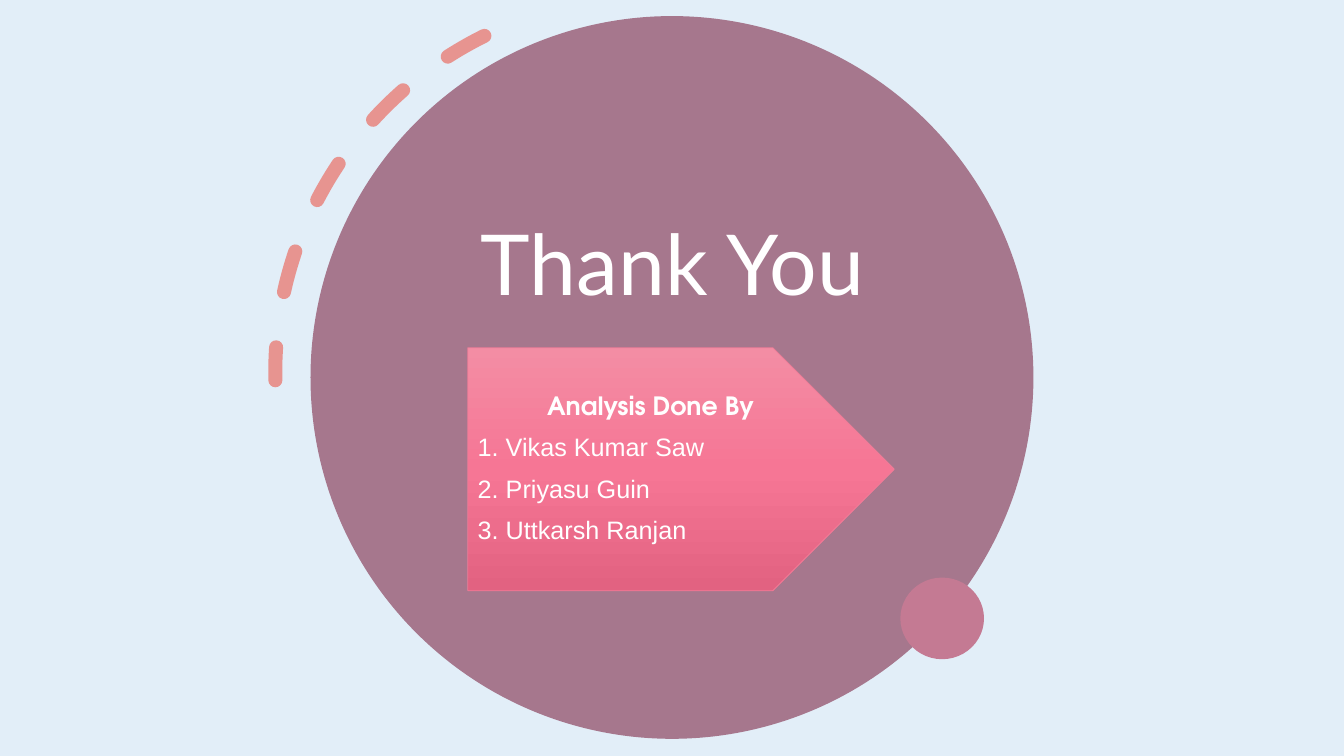
from lxml import etree
from pptx import Presentation
from pptx.dml.color import RGBColor
from pptx.enum.dml import MSO_LINE
from pptx.enum.shapes import MSO_SHAPE
from pptx.enum.text import MSO_ANCHOR, PP_ALIGN
from pptx.oxml import parse_xml
from pptx.oxml.ns import nsdecls, qn
from pptx.util import Inches, Pt

OVAL, ARC, PLATE = MSO_SHAPE.OVAL, MSO_SHAPE.ARC, MSO_SHAPE.PENTAGON
LEFT, CENTER = PP_ALIGN.LEFT, PP_ALIGN.CENTER
MIDDLE, BOTTOM = MSO_ANCHOR.MIDDLE, MSO_ANCHOR.BOTTOM
DASH = MSO_LINE.DASH

COLORS = {
    "sky": "E2EEF8", "plum": "A6778D", "rose": "C47A93", "coral": "E8908B",
    "edge": "F07C98", "white": "FFFFFF",
}
BLEND = {0: "F38DA4", 50: "F67695", 100: "E26281"}
NAMES = ["Vikas Kumar Saw", "Priyasu Guin", "Uttkarsh Ranjan"]


def color(name):
    return RGBColor.from_string(COLORS[name])


def add_form(slide, kind, box, fill=None):
    form = slide.shapes.add_shape(kind, *map(Inches, box))
    form.shadow.inherit = False
    form.line.fill.background()
    if fill:
        form.fill.solid()
        form.fill.fore_color.rgb = color(fill)
    else:
        form.fill.background()
    return form


def write(para, text, font, size, bold=False, align=LEFT, before=0):
    para.alignment = align
    para.line_spacing = 0.9
    para.space_before = Pt(before)
    run = para.add_run()
    run.text = text
    run.font.name = font
    run.font.size = Pt(size)
    run.font.bold = bold
    run.font.color.rgb = color("white")


def set_blend(form):
    """Fill the form with the pink gradient, light at the top."""
    stops = "".join(
        f'<a:gs pos="{pos * 1000}"><a:srgbClr val="{tone}"/></a:gs>'
        for pos, tone in BLEND.items())
    grad = parse_xml(
        f'<a:gradFill {nsdecls("a")} rotWithShape="1"><a:gsLst>{stops}</a:gsLst>'
        '<a:lin ang="5400000" scaled="0"/></a:gradFill>')
    props = form.element.spPr
    props.replace(props.find(qn("a:noFill")), grad)


def add_arc(slide, box):
    arc = add_form(slide, ARC, box)
    arc.adjustments[0], arc.adjustments[1] = 162, 200.93
    arc.rotation = 153.7
    arc.element.spPr.xfrm.set("flipV", "1")
    arc.line.color.rgb = color("coral")
    arc.line.width = Pt(10)
    arc.line.dash_style = DASH
    line = arc.element.spPr.find(qn("a:ln"))
    line.set("cap", "rnd")
    tone = line.find(".//" + qn("a:srgbClr"))
    etree.SubElement(tone, qn("a:alpha")).set("val", "95000")


def add_title(slide, box):
    title = slide.shapes.title
    title.left, title.top, title.width, title.height = map(Inches, box)
    frame = title.text_frame
    frame.word_wrap = True
    frame.vertical_anchor = BOTTOM
    write(frame.paragraphs[0], "Thank You", "Lato", 60, align=CENTER)


def add_credits(slide, box):
    plate = add_form(slide, PLATE, box)
    set_blend(plate)
    plate.line.color.rgb = color("edge")
    plate.line.width = Pt(0.5)
    frame = plate.text_frame
    frame.word_wrap = True
    frame.vertical_anchor = MIDDLE
    write(frame.paragraphs[0], "Analysis Done By", "TeX Gyre Adventor", 18,
          bold=True, align=CENTER, before=10)
    for rank, name in enumerate(NAMES, 1):
        write(frame.add_paragraph(), f"{rank}. {name}", "Arial", 18, before=10)


def add_closing(deck, box):
    """Place every part as a share of the box around the large disc."""
    left, top, side = box
    slide = deck.slides.add_slide(deck.slide_layouts[5])
    slide.background.fill.solid()
    slide.background.fill.fore_color.rgb = color("sky")

    def part(x, y, wide, high):
        return left + x * side, top + y * side, wide * side, high * side

    disc = add_form(slide, OVAL, part(0, 0, 1, 1), "plum")
    tree = slide.shapes.title.element.getparent()
    tree.remove(disc.element)
    tree.insert(2, disc.element)
    add_title(slide, (left + 0.55, top + 1.35, 6.08, 1.65))
    add_arc(slide, (left - 0.35, top - 0.19, 7.45, 7.45))
    add_form(slide, OVAL, (left + 5.85, top + 5.57, 0.83, 0.81), "rose")
    add_credits(slide, (left + 1.56, top + 3.29, 4.23, 2.41))


def main():
    deck = Presentation()
    deck.slide_width, deck.slide_height = Inches(13.33), Inches(7.5)
    add_closing(deck, (3.08, 0.16, 7.17))
    deck.save("out.pptx")


if __name__ == "__main__":
    main()
